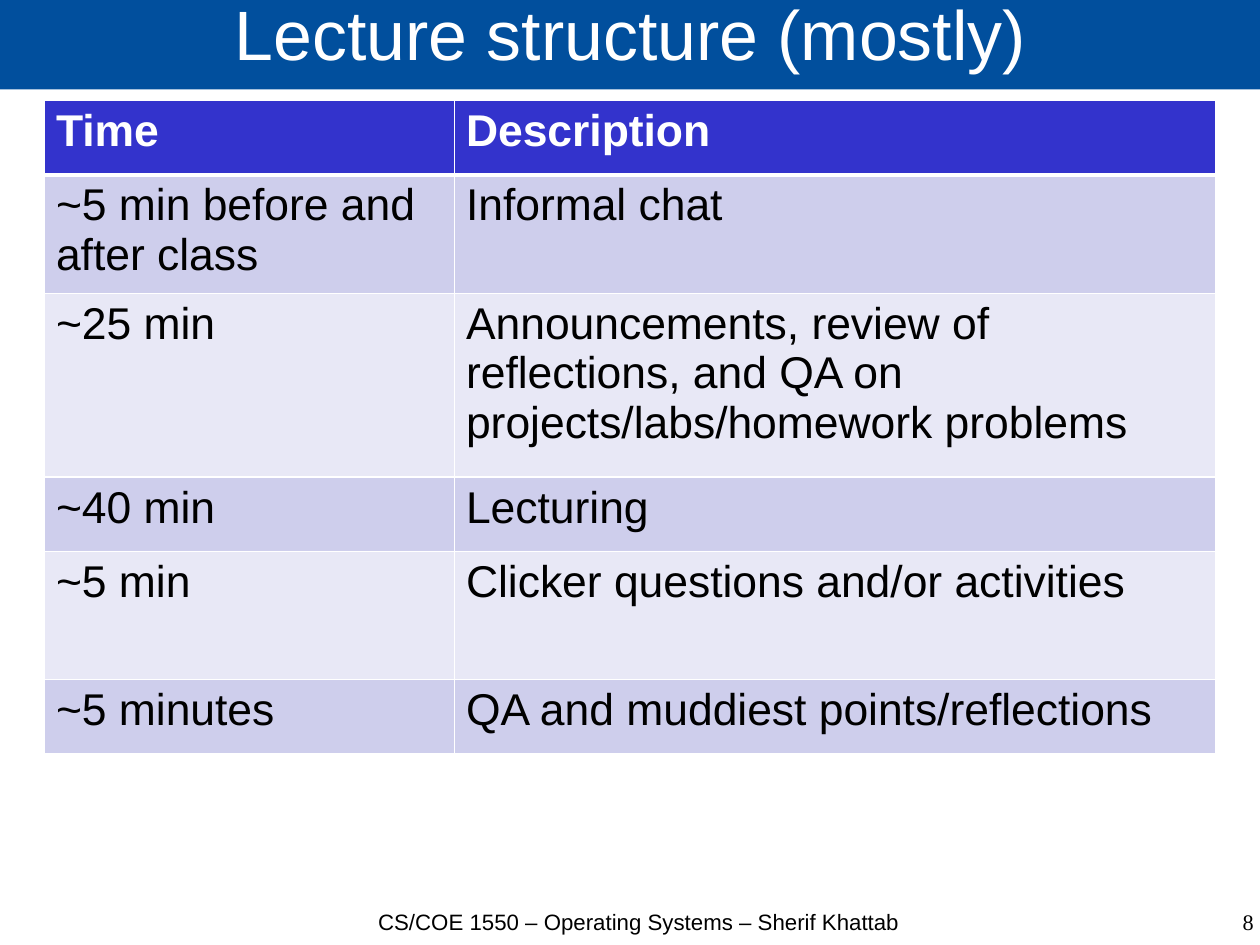
from dataclasses import dataclass

from lxml.etree import SubElement
from pptx import Presentation
from pptx.dml.color import RGBColor
from pptx.enum.shapes import MSO_SHAPE as Shape
from pptx.enum.text import MSO_ANCHOR as Anchor, PP_ALIGN as Align
from pptx.oxml.ns import qn
from pptx.util import Pt


@dataclass(frozen=True)
class Theme:
    banner: str = "014F9D"
    header: str = "3333CC"
    bands: tuple = ("CECEEC", "E8E8F6")
    white: str = "FFFFFF"
    black: str = "000000"
    sans: str = "Arial"
    serif: str = "Times New Roman"
    title_size: int = 44
    table_size: int = 28
    footer_size: int = 14
    tight_spacing: float = 0.69


THEME = Theme()
SLIDE_WIDTH, SLIDE_HEIGHT = 793.75, 595.25
FOOTER_TOP, FOOTER_HEIGHT = 576.7, 39.6

COLUMN_WIDTHS = (258.3, 479.3)
ROW_HEIGHTS = (46.8, 46.8, 115.9, 46.8, 80.6, 46.8)
LECTURE_PLAN = (
    ("Time", "Description"),
    ("~5 min before and after class", "Informal chat"),
    ("~25 min", "Announcements, review of reflections, and QA on "
                "projects/labs/homework problems"),
    ("~40 min", "Lecturing"),
    ("~5 min", "Clicker questions and/or activities"),
    ("~5 minutes", "QA and muddiest points/reflections"),
)


def write_text(frame, text, *, size, color=THEME.black, font=THEME.sans,
               bold=False, align=Align.LEFT, spacing=1.0):
    frame.word_wrap = True
    paragraph = frame.paragraphs[0]
    paragraph.alignment = align
    paragraph.line_spacing = spacing
    run = paragraph.add_run()
    run.text = text
    run.font.size = Pt(size)
    run.font.name = font
    run.font.bold = bold
    run.font.color.rgb = RGBColor.from_string(color)


def clear_margins(frame):
    frame.margin_left = frame.margin_top = 0
    frame.margin_right = frame.margin_bottom = 0


def fill_solid(target, color):
    target.fill.solid()
    target.fill.fore_color.rgb = RGBColor.from_string(color)


def add_banner(slide, text):
    banner = slide.shapes.add_shape(
        Shape.RECTANGLE, Pt(0), Pt(-1.7), Pt(794.9), Pt(58))
    banner.shadow.inherit = False
    banner.line.fill.background()
    fill_solid(banner, THEME.banner)
    frame = banner.text_frame
    clear_margins(frame)
    frame.vertical_anchor = Anchor.MIDDLE
    write_text(frame, text, size=THEME.title_size, color=THEME.white,
               align=Align.CENTER, spacing=THEME.tight_spacing)


def add_footer(slide, text, left, width, **text_format):
    box = slide.shapes.add_textbox(
        Pt(left), Pt(FOOTER_TOP), Pt(width), Pt(FOOTER_HEIGHT))
    clear_margins(box.text_frame)
    write_text(box.text_frame, text, size=THEME.footer_size,
               spacing=THEME.tight_spacing, **text_format)


def set_borders(cell, **widths):
    """Draw white cell edges; the keywords lnL, lnR, lnT, lnB give widths."""
    properties = cell._tc.get_or_add_tcPr()
    for edge, width in widths.items():
        line = SubElement(properties, qn(f"a:{edge}"), w=str(Pt(width)))
        fill = SubElement(line, qn("a:solidFill"))
        SubElement(fill, qn("a:srgbClr"), val=THEME.white)


def add_plan_table(slide, left, top):
    table = slide.shapes.add_table(
        len(LECTURE_PLAN), len(COLUMN_WIDTHS), Pt(left), Pt(top),
        Pt(sum(COLUMN_WIDTHS)), Pt(sum(ROW_HEIGHTS))).table
    for column, width in zip(table.columns, COLUMN_WIDTHS):
        column.width = Pt(width)
    for row, height in zip(table.rows, ROW_HEIGHTS):
        row.height = Pt(height)
    for row_index, texts in enumerate(LECTURE_PLAN):
        is_header = row_index == 0
        band = THEME.bands[(row_index - 1) % len(THEME.bands)]
        for column_index, text in enumerate(texts):
            cell = table.cell(row_index, column_index)
            set_borders(cell, lnL=1, lnR=1, lnT=3 if row_index == 1 else 1,
                        lnB=3 if is_header else 1)
            fill_solid(cell, THEME.header if is_header else band)
            write_text(cell.text_frame, text, size=THEME.table_size,
                       color=THEME.white if is_header else THEME.black,
                       bold=is_header)


def main():
    presentation = Presentation()
    presentation.slide_width = Pt(SLIDE_WIDTH)
    presentation.slide_height = Pt(SLIDE_HEIGHT)
    slide = presentation.slides.add_slide(presentation.slide_layouts[6])
    add_banner(slide, "Lecture structure (mostly)")
    add_footer(slide, "CS/COE 1550 – Operating Systems – Sherif Khattab",
               221, 362.9, align=Align.CENTER)
    add_footer(slide, "8", 607.7, 182.2, align=Align.RIGHT, font=THEME.serif)
    add_plan_table(slide, 28.1, 63.4)
    presentation.save("out.pptx")


if __name__ == "__main__":
    main()
